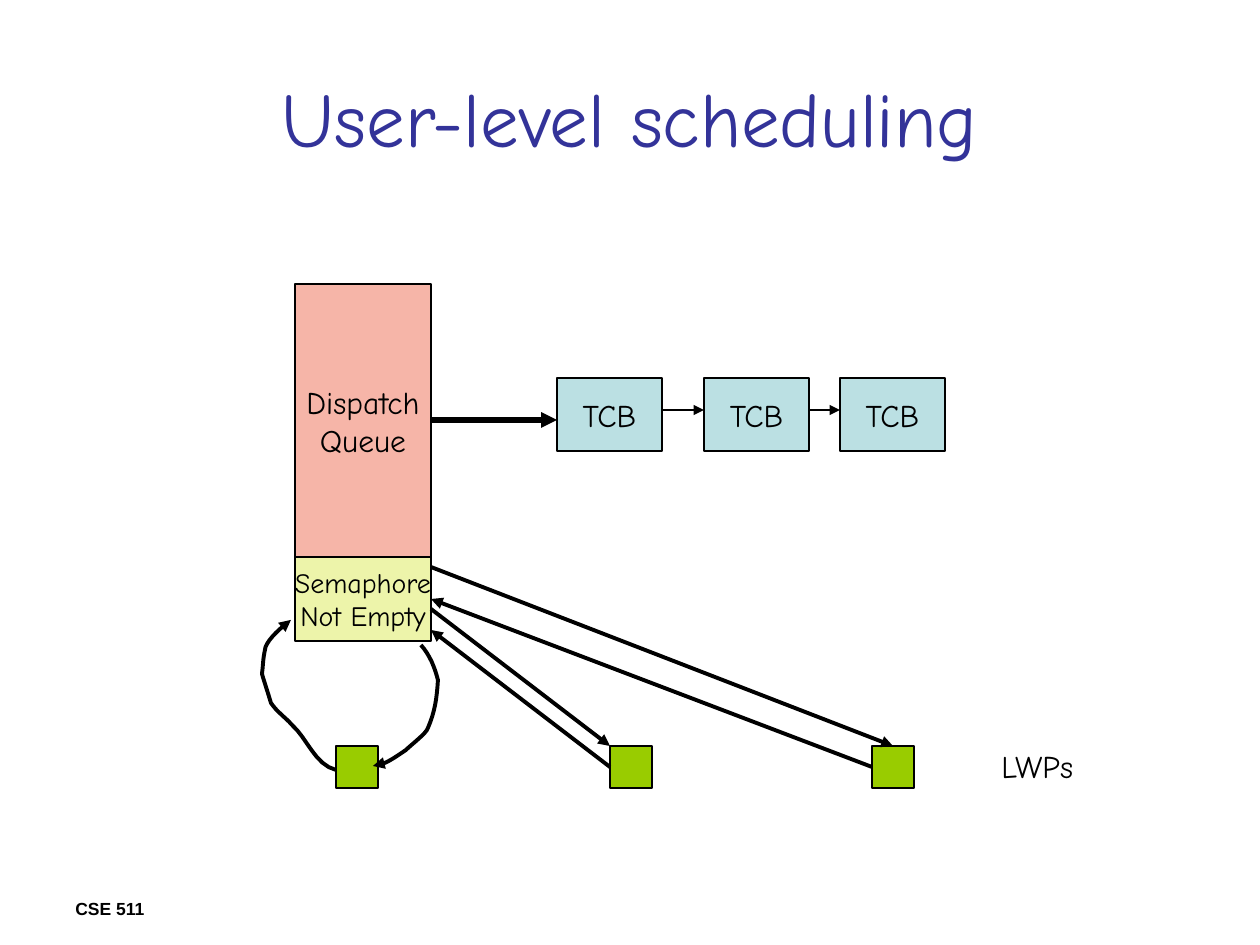
from lxml import etree
from pptx import Presentation
from pptx.dml.color import RGBColor
from pptx.enum.shapes import MSO_CONNECTOR, MSO_SHAPE
from pptx.enum.text import MSO_ANCHOR, PP_ALIGN
from pptx.oxml.ns import qn
from pptx.util import Emu, Pt

PX = 914400 / 126
FONT = "Comic Neue"
BLACK = "000000"

TITLE = "User-level scheduling"
FOOTER = "CSE 511"
LWP_LABEL = "LWPs"

TCB_LEFTS, TCB_TOP, TCB_W, TCB_H = (557, 704, 840), 378, 105, 73
LWP_LEFTS, LWP_TOP, LWP_SIZE = (336, 610, 872), 746, 42
QUEUE_LEFT, QUEUE_W = 295, 136
QUEUE_RIGHT = QUEUE_LEFT + QUEUE_W

# left, top, width, height, fill, lines of text, text size
BOXES = [
    *[(x, TCB_TOP, TCB_W, TCB_H, "BBE0E3", ["TCB"], 18) for x in TCB_LEFTS],
    (QUEUE_LEFT, 284, QUEUE_W, 273, "F6B5A8", ["Dispatch", "Queue"], 18),
    (QUEUE_LEFT, 557, QUEUE_W, 84, "EDF4AA", ["Semaphore", "Not Empty"], 16),
    *[(x, LWP_TOP, LWP_SIZE, LWP_SIZE, "99CC00", [], 18) for x in LWP_LEFTS],
]

# start x, start y, end x, end y, line width
LWP_MID = LWP_TOP + LWP_SIZE // 2
ARROWS = [
    *[(a + TCB_W, 410, b, 410, 0.75) for a, b in zip(TCB_LEFTS, TCB_LEFTS[1:])],
    (QUEUE_RIGHT, 420, TCB_LEFTS[0], 420, 3),
    (LWP_LEFTS[1], LWP_MID, QUEUE_RIGHT, 630, 2.25),
    (QUEUE_RIGHT, 609, LWP_LEFTS[1], LWP_TOP, 2.25),
    (LWP_LEFTS[2], LWP_MID, QUEUE_RIGHT, 599, 2.25),
    (QUEUE_RIGHT, 567, LWP_LEFTS[2] + LWP_SIZE // 2, LWP_TOP, 2.25),
]

# start point, then two control points and an end point for each curve
LOOP_TO_SEMAPHORE = [
    (336, 770),
    (315, 765), (307, 738), (292, 725),
    (285, 717), (277, 712), (271, 703),
    (268, 693), (265, 684), (262, 674),
    (263, 667), (263, 659), (265, 650),
    (265, 643), (278, 630), (285, 625),
    (287, 623), (289, 622), (291, 620),
]
LOOP_TO_LWP = [
    (421, 645),
    (430, 655), (435, 668), (438, 680),
    (437, 698), (435, 712), (428, 728),
    (427, 733), (411, 745), (406, 750),
    (397, 756), (384, 766), (373, 766),
]


def px(n):
    return Emu(round(n * PX))


def rgb(h):
    return RGBColor.from_string(h)


def write(tf, lines, size, color=BLACK, font=FONT, align=PP_ALIGN.CENTER, bold=False):
    for i, text in enumerate(lines):
        p = tf.paragraphs[0] if i == 0 else tf.add_paragraph()
        p.text = text
        p.alignment = align
        p.font.size, p.font.name, p.font.bold = Pt(size), font, bold
        p.font.color.rgb = rgb(color)


def add_box(s, left, top, width, height, fill, lines, size):
    sp = s.shapes.add_shape(MSO_SHAPE.RECTANGLE, px(left), px(top), px(width), px(height))
    sp.shadow.inherit = False
    sp.fill.solid()
    sp.fill.fore_color.rgb = rgb(fill)
    sp.line.color.rgb = rgb(BLACK)
    sp.line.width = Pt(0.75)
    sp.text_frame.word_wrap = False
    sp.text_frame.vertical_anchor = MSO_ANCHOR.MIDDLE
    write(sp.text_frame, lines, size)


def add_label(s, left, top, width, height, text, wrap, **style):
    tf = s.shapes.add_textbox(px(left), px(top), px(width), px(height)).text_frame
    tf.word_wrap = wrap
    write(tf, [text], align=PP_ALIGN.LEFT, **style)


def style_arrow(line, width):
    line.color.rgb = rgb(BLACK)
    line.width = Pt(width)
    etree.SubElement(line._get_or_add_ln(), qn("a:tailEnd"), type="triangle")


def add_arrow(s, x1, y1, x2, y2, width):
    c = s.shapes.add_connector(MSO_CONNECTOR.STRAIGHT, px(x1), px(y1), px(x2), px(y2))
    style_arrow(c.line, width)
    etree.SubElement(c._element.spPr, qn("a:effectLst"))


def curve_points(points, steps=8):
    """Sample a chain of cubic Bezier curves."""
    for i in range(0, len(points) - 1, 3):
        a, b, c, d = points[i:i + 4]
        for k in range(1, steps + 1):
            t = k / steps
            u = 1 - t
            weights = (u ** 3, 3 * u * u * t, 3 * u * t * t, t ** 3)
            yield tuple(px(sum(w * q[axis] for w, q in zip(weights, (a, b, c, d))))
                        for axis in (0, 1))


def add_loop(s, points):
    start_x, start_y = points[0]
    builder = s.shapes.build_freeform(px(start_x), px(start_y))
    builder.add_line_segments(list(curve_points(points)), close=False)
    sp = builder.convert_to_shape()
    sp.shadow.inherit = False
    sp.fill.background()
    style_arrow(sp.line, 2.25)


def main():
    prs = Presentation()
    prs.slide_width, prs.slide_height = px(1260), px(945)
    s = prs.slides.add_slide(prs.slide_layouts[5])

    title = s.shapes.title
    title.left, title.top, title.width, title.height = px(63), px(38), px(1134), px(157)
    title.text_frame.vertical_anchor = MSO_ANCHOR.MIDDLE
    write(title.text_frame, [TITLE], 44, color="333399")

    add_label(s, 63, 892, 294, 32, FOOTER, True, size=10, font="Arial", bold=True)
    for box in BOXES:
        add_box(s, *box)
    for loop in (LOOP_TO_SEMAPHORE, LOOP_TO_LWP):
        add_loop(s, loop)
    for arrow in ARROWS:
        add_arrow(s, *arrow)
    add_label(s, 989, 741, 98, 50, LWP_LABEL, False, size=18)

    prs.save("out.pptx")


if __name__ == "__main__":
    main()
